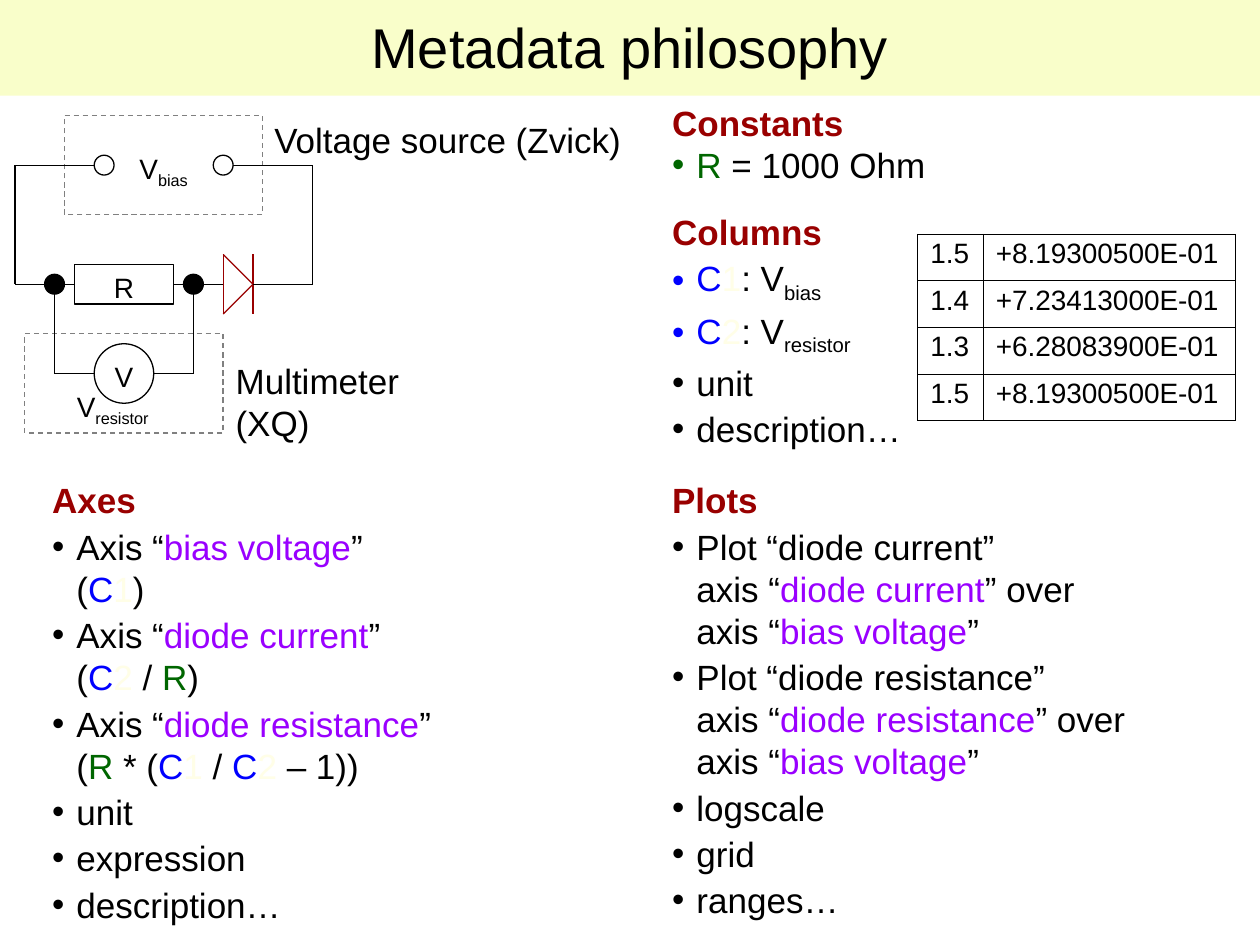
from itertools import pairwise

from lxml import etree
from pptx import Presentation
from pptx.dml.color import RGBColor
from pptx.enum.dml import MSO_LINE
from pptx.enum.shapes import MSO_CONNECTOR, MSO_SHAPE
from pptx.enum.text import MSO_ANCHOR, PP_ALIGN
from pptx.oxml.ns import qn
from pptx.util import Cm, Pt

RECT, OVAL, STRAIGHT = MSO_SHAPE.RECTANGLE, MSO_SHAPE.OVAL, MSO_CONNECTOR.STRAIGHT
DASH, MIDDLE = MSO_LINE.DASH, MSO_ANCHOR.MIDDLE
LEFT, CENTER = PP_ALIGN.LEFT, PP_ALIGN.CENTER


class Theme:
    font = "Arial"
    title, body, small = 32, 20, 16
    line = 0.75
    band = "F9FECA"
    frame = "808080"
    diode = "990000"
    colors = {"text": "000000", "sub": "000000", "head": "990000", "column": "0000FF",
              "faint": "FFFEE7", "constant": "006600", "name": "9900FF"}


def add_runs(p, size, runs):
    """Add (text, style) runs to a paragraph; a newline in a text is a line break."""
    for text, style in runs:
        for i, part in enumerate(text.split("\n")):
            if i:
                p.add_line_break()
            r = p.add_run()
            r.text = part
            r.font.name = Theme.font
            r.font.size = Pt(size)
            r.font.bold = style == "head"
            r.font.color.rgb = RGBColor.from_string(Theme.colors[style])
            if style == "sub":
                r.font._element.set("baseline", "-25000")


def add_outline(kind, box, color=Theme.colors["text"], fill=None, dash=None):
    sp = shapes.add_shape(kind, *map(Cm, box))
    sp.shadow.inherit = False
    if fill:
        sp.fill.solid()
        sp.fill.fore_color.rgb = RGBColor.from_string(fill)
    else:
        sp.fill.background()
    sp.line.color.rgb = RGBColor.from_string(color)
    sp.line.width = Pt(Theme.line)
    if dash:
        sp.line.dash_style = dash
    return sp


prs = Presentation()
prs.slide_width, prs.slide_height = Cm(25.4), Cm(19.05)
s = prs.slides.add_slide(prs.slide_layouts[6])
shapes = s.shapes

# Title band
title = add_outline(RECT, (0, 0, 25.4, 1.93), fill=Theme.band)
title.line.fill.background()
tf = title.text_frame
tf.vertical_anchor = MIDDLE
tf.margin_top = Cm(0.2)
p = tf.paragraphs[0]
p.alignment = CENTER
p.line_spacing = 0.93
add_runs(p, Theme.title, [("Metadata philosophy", "text")])

# Circuit
top_y, mid_y, meter_y = 3.33, 5.73, 7.53
left_x, right_x = 0.3, 6.3
node_xs = (1.1, 3.9)
diode_x, diode_end = 4.5, 5.1
resistor = add_outline(RECT, (1.5, mid_y - 0.4, 2, 0.8))
resistor_sides = {(1.5, mid_y): 1, (3.5, mid_y): 3}
for x in (1.9, 4.3):
    add_outline(OVAL, (x, top_y - 0.2, 0.4, 0.4))
add_outline(OVAL, (1.9, meter_y - 0.6, 1.2, 1.2))
for x, y in ((1.3, 2.33), (0.5, 6.73)):
    add_outline(RECT, (x, y, 4, 2), Theme.frame, dash=DASH)

diode = shapes.add_group_shape()
black = Theme.colors["text"]
wires = [
    (diode, Theme.diode, [(diode_end, mid_y), (diode_x, mid_y - 0.6),
                          (diode_x, mid_y + 0.6), (diode_end, mid_y)]),
    (diode, Theme.diode, [(diode_end, mid_y - 0.6), (diode_end, mid_y + 0.6)]),
    (s, black, [(diode_end, mid_y), (right_x, mid_y), (right_x, top_y), (4.7, top_y)]),
    (s, black, [(diode_x, mid_y), (3.5, mid_y)]),
    (s, black, [(1.5, mid_y), (left_x, mid_y), (left_x, top_y), (1.9, top_y)]),
    (s, black, [(node_xs[0], mid_y), (node_xs[0], meter_y), (1.9, meter_y)]),
    (s, black, [(3.1, meter_y), (node_xs[1], meter_y), (node_xs[1], mid_y)]),
]
for parent, color, points in wires:
    for start, end in pairwise(points):
        wire = parent.shapes.add_connector(STRAIGHT, *map(Cm, start + end))
        wire.line.color.rgb = RGBColor.from_string(color)
        wire.line.width = Pt(Theme.line)
        etree.SubElement(wire._element.spPr, qn("a:effectLst"))
        if start in resistor_sides:
            wire.begin_connect(resistor, resistor_sides[start])
        if end in resistor_sides:
            wire.end_connect(resistor, resistor_sides[end])
for x in node_xs:
    add_outline(OVAL, (x - 0.2, mid_y - 0.2, 0.4, 0.4), fill=black)

# Circuit labels
labels = [
    ((1.3, 7.73, 2.4, 1.04), LEFT, Theme.small, [("V", "text"), ("resistor", "sub")]),
    ((1.9, 7.13, 1.2, 0.94), CENTER, Theme.small, [("V", "text")]),
    ((1.7, 5.33, 1.6, 0.94), CENTER, Theme.small, [("R", "text")]),
    ((2.3, 2.93, 2, 1.04), CENTER, Theme.small, [("V", "text"), ("bias", "sub")]),
    ((5.28, 2.27, 7.62, 1.12), LEFT, Theme.body, [("Voltage source (Zvick)", "text")]),
    ((4.5, 7.13, 5.46, 1.12), LEFT, Theme.body, [("Multimeter (XQ)", "text")]),
]
for box, align, size, runs in labels:
    tf = shapes.add_textbox(*map(Cm, box)).text_frame
    tf.word_wrap = size == Theme.small
    p = tf.paragraphs[0]
    p.alignment = align
    add_runs(p, size, runs)

# Readings
readings = [("1.5", "+8.19300500E-01"), ("1.4", "+7.23413000E-01"),
            ("1.3", "+6.28083900E-01"), ("1.5", "+8.19300500E-01")]
table = shapes.add_table(len(readings), 2, Cm(18.5), Cm(4.72), Cm(6.4), Cm(3.76)).table
table.first_row = table.horz_banding = False
for column, width in zip(table.columns, (1.32, 5.08)):
    column.width = Cm(width)
for row, values in zip(table.rows, readings):
    row.height = Cm(0.94)
    for cell, value in zip(row.cells, values):
        p = cell.text_frame.paragraphs[0]
        p.line_spacing = 0.93
        add_runs(p, Theme.small, [(value, "text")])
        tcPr = cell._tc.get_or_add_tcPr()
        for side in ("a:lnL", "a:lnR", "a:lnT", "a:lnB"):
            ln = etree.SubElement(tcPr, qn(side), w=str(Pt(0.45)))
            fill = etree.SubElement(ln, qn("a:solidFill"))
            etree.SubElement(fill, qn("a:srgbClr"), val=black)
        cell.fill.background()

# Headed lists: box, space between items, heading, items
c1, c2 = [("C", "column"), ("1", "faint")], [("C", "column"), ("2", "faint")]
const_r = ("R", "constant")
lists = [
    ((13.3, 4.12, 6.6, 5.08), 2.5, "Columns", [
        c1 + [(": V", "text"), ("bias", "sub")],
        c2 + [(": V", "text"), ("resistor", "sub")],
        "unit", "description…"]),
    ((0.8, 9.53, 11.9, 9.37), 2.5, "Axes", [
        [("Axis “", "text"), ("bias voltage", "name"), ("”\n(", "text"), *c1, (")", "text")],
        [("Axis “", "text"), ("diode current", "name"), ("”\n(", "text"), *c2,
         (" / ", "text"), const_r, (")", "text")],
        [("Axis “", "text"), ("diode resistance", "name"), ("”\n(", "text"), const_r,
         (" * (", "text"), *c1, (" / ", "text"), *c2, (" – 1))", "text")],
        "unit", "expression", "description…"]),
    ((13.3, 9.53, 12.1, 9.17), 2.5, "Plots", [
        *([(f"Plot “{name}”\naxis “", "text"), (name, "name"), ("” over\naxis “", "text"),
           ("bias voltage", "name"), ("”", "text")]
          for name in ("diode current", "diode resistance")),
        "logscale", "grid", "ranges…"]),
    ((13.3, 1.93, 7.05, 1.96), 0, "Constants", [[const_r, (" = 1000 Ohm", "text")]]),
]
for box, gap, heading, items in lists:
    tf = shapes.add_textbox(*map(Cm, box)).text_frame
    tf.word_wrap = True
    add_runs(tf.paragraphs[0], Theme.body, [(heading, "head")])
    for item in items:
        runs = [(item, "text")] if isinstance(item, str) else item
        p = tf.add_paragraph()
        pPr = p._p.get_or_add_pPr()
        pPr.set("marL", str(Cm(0.49)))
        pPr.set("indent", str(-Cm(0.49)))
        bullet_color = etree.SubElement(pPr, qn("a:buClr"))
        etree.SubElement(bullet_color, qn("a:srgbClr"), val=Theme.colors[runs[0][1]])
        etree.SubElement(pPr, qn("a:buFont"), typeface=Theme.font)
        etree.SubElement(pPr, qn("a:buChar"), char="•")
        p.space_before = Pt(gap)
        add_runs(p, Theme.body, runs)

prs.save("out.pptx")
